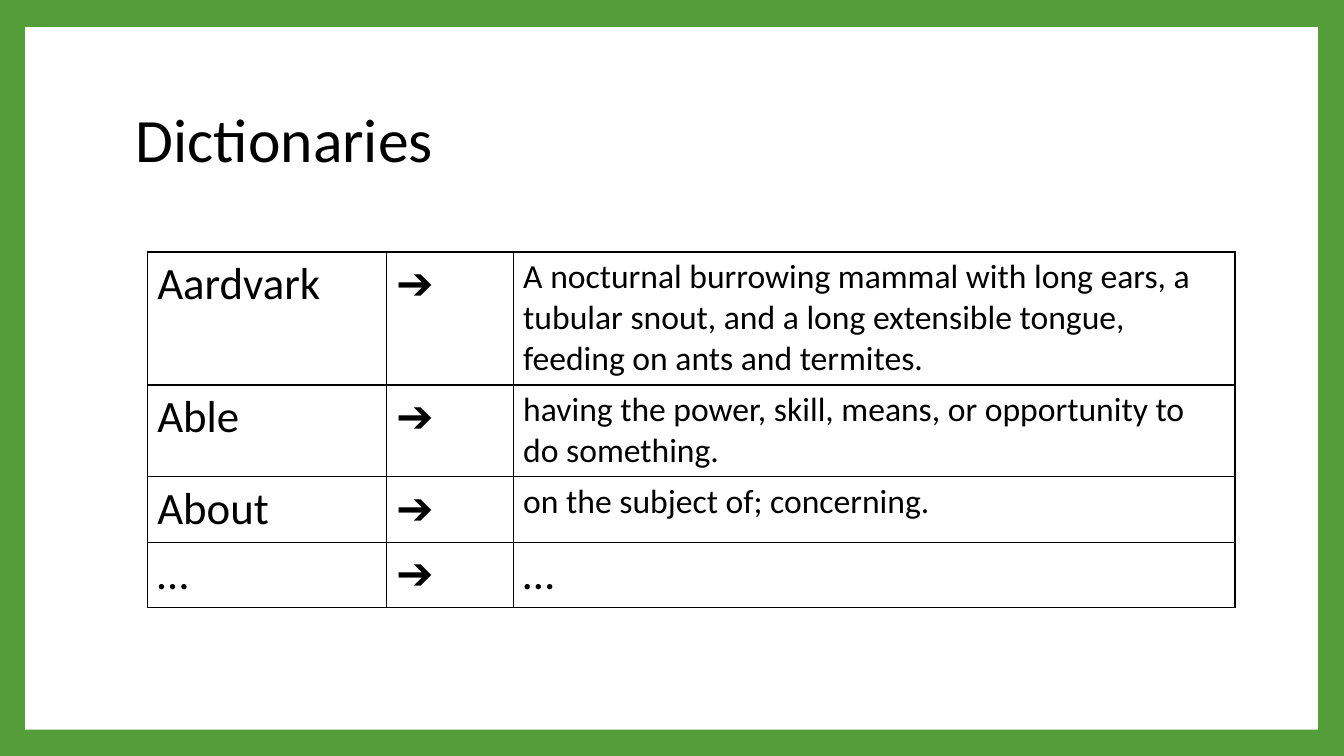
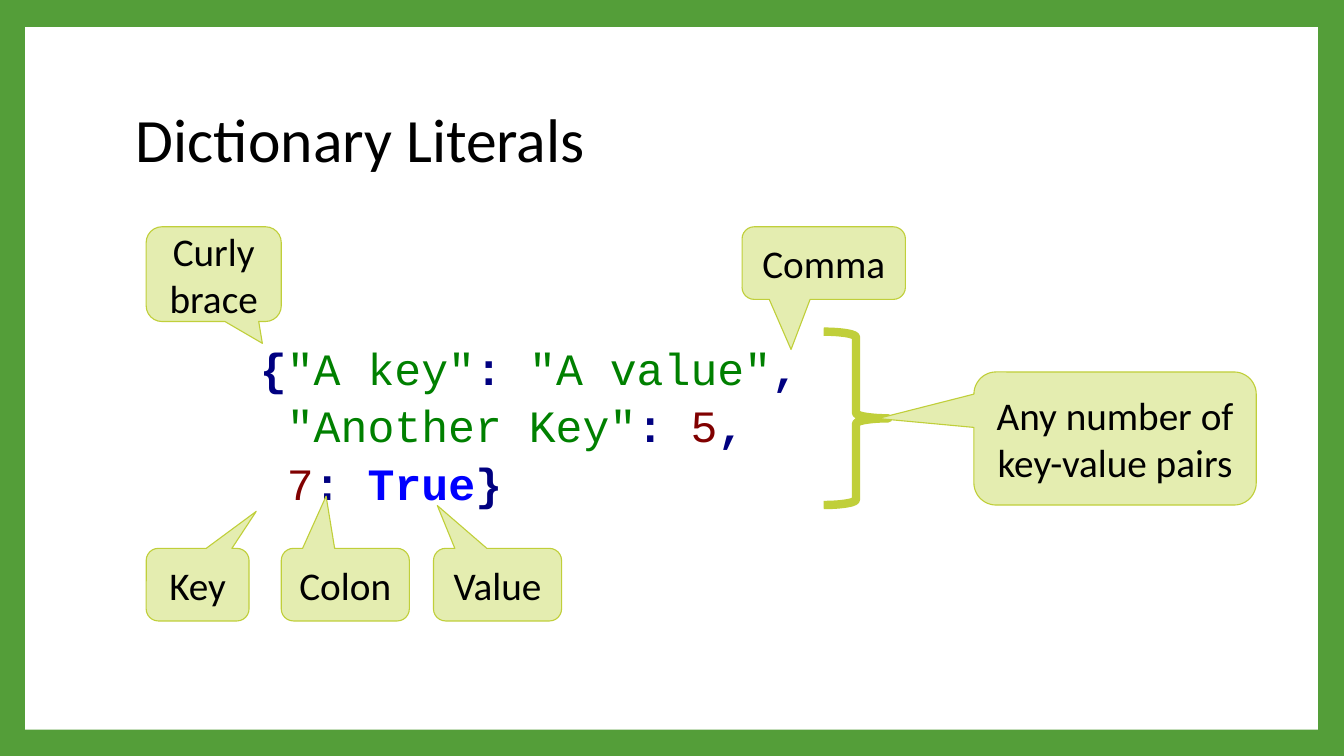
"""Build two slides that introduce dictionaries and their literals."""
from pptx import Presentation
from pptx.dml.color import RGBColor
from pptx.enum.shapes import MSO_SHAPE
from pptx.enum.text import MSO_ANCHOR, PP_ALIGN
from pptx.oxml import parse_xml
from pptx.oxml.ns import nsdecls
from pptx.util import Inches, Pt

RECTANGLE = MSO_SHAPE.RECTANGLE
CALLOUT = MSO_SHAPE.ROUNDED_RECTANGULAR_CALLOUT
BRACE = MSO_SHAPE.RIGHT_BRACE
MIDDLE = MSO_ANCHOR.MIDDLE
CENTER = PP_ALIGN.CENTER

COLORS = {
    "frame": "549E39",
    "paper": "FFFFFF",
    "text": "000000",
    "callout": "E4EDB0",
    "outline": "C0CF3A",
    "symbol": "000080",
    "string": "008000",
    "number": "800000",
    "keyword": "0000FF",
}
BODY_FONT = "Calibri"
CODE_FONT = "Courier New"


def color(name):
    return RGBColor.from_string(COLORS[name])


def add_span(para, text, size, tone="text", font=BODY_FONT, bold=False):
    span = para.add_run()
    span.text = text
    span.font.name = font
    span.font.size = Pt(size)
    span.font.bold = bold
    span.font.color.rgb = color(tone)


deck = Presentation()
deck.slide_width = Inches(13.33)
deck.slide_height = Inches(7.5)
background = deck.slide_master.background.fill
background.solid()
background.fore_color.rgb = color("frame")

pages = []
for title in ["Dictionaries", "Dictionary Literals"]:
    page = deck.slides.add_slide(deck.slide_layouts[6])
    paper = page.shapes.add_shape(
        RECTANGLE, Inches(0.25), Inches(0.27), Inches(12.82), Inches(6.97))
    paper.shadow.inherit = False
    paper.fill.solid()
    paper.fill.fore_color.rgb = color("paper")
    paper.line.fill.background()
    box = page.shapes.add_textbox(
        Inches(1.25), Inches(0.67), Inches(10.8), Inches(1.48))
    box.text_frame.word_wrap = True
    box.text_frame.vertical_anchor = MIDDLE
    para = box.text_frame.paragraphs[0]
    para.line_spacing = 0.9
    add_span(para, title, 44)
    pages.append(page)
table_page, literal_page = pages

entries = [
    ("Aardvark", "A nocturnal burrowing mammal with long ears, a tubular snout, "
                 "and a long extensible tongue, feeding on ants and termites.", 24),
    ("Able", "having the power, skill, means, or opportunity to do something.", 24),
    ("About", "on the subject of; concerning.", 24),
    ("…", "…", 32),
]
row_heights = [1.32, 0.91, 0.65, 0.65]
column_widths = [2.37, 1.26, 7.16]
table = table_page.shapes.add_table(
    len(entries), len(column_widths), Inches(1.46), Inches(2.5),
    Inches(sum(column_widths)), Inches(sum(row_heights))).table
table.first_row = False
table.horz_banding = False
for column, width in zip(table.columns, column_widths):
    column.width = Inches(width)
for row, height, (word, meaning, meaning_size) in zip(table.rows, row_heights, entries):
    row.height = Inches(height)
    contents = [(word, 32), ("➔", 32), (meaning, meaning_size)]
    for cell, (text, size) in zip(row.cells, contents):
        add_span(cell.text_frame.paragraphs[0], text, size)
        properties = cell._tc.get_or_add_tcPr()
        for side in ["lnL", "lnR", "lnT", "lnB"]:
            properties.append(parse_xml(
                f'<a:{side} {nsdecls("a")} w="12700"><a:solidFill>'
                f'<a:srgbClr val="{COLORS["text"]}"/></a:solidFill></a:{side}>'))
        cell.fill.background()

code_lines = [
    [("{", "symbol"), ('"A key"', "string"), (": ", "symbol"),
     ('"A value"', "string"), (",", "symbol")],
    [(" ", "text"), ('"Another Key"', "string"), (": ", "symbol"),
     ("5", "number"), (",", "symbol")],
    [(" ", "text"), ("7", "number"), (": ", "symbol"),
     ("True", "keyword"), ("}", "symbol")],
]
code_box = literal_page.shapes.add_textbox(
    Inches(2.48), Inches(3.29), Inches(9.76), Inches(1.72))
code_frame = code_box.text_frame
code_frame.word_wrap = True
for index, code_line in enumerate(code_lines):
    para = code_frame.add_paragraph() if index else code_frame.paragraphs[0]
    para.line_spacing = 1.07
    for text, tone in code_line:
        add_span(para, text, 32, tone, CODE_FONT, tone in ("symbol", "keyword"))

brace = literal_page.shapes.add_shape(
    BRACE, Inches(8.17), Inches(3.29), Inches(0.64), Inches(1.72))
brace.shadow.inherit = False
brace.fill.background()
brace.line.color.rgb = color("outline")
brace.line.width = Pt(6)

callouts = [
    ("Curly brace", 1.45, 2.25, 1.34, 0.94, 0.36, 0.73),
    ("Key", 1.45, 5.44, 1.02, 0.72, 0.57, -1.01),
    ("Value", 4.3, 5.44, 1.27, 0.72, -0.47, -1.09),
    ("Colon", 2.79, 5.44, 1.27, 0.72, -0.15, -1.22),
    ("Comma", 7.36, 2.25, 1.62, 0.72, -0.2, 1.19),
    ("Any number of key-value pairs", 9.66, 3.69, 2.8, 1.32, -0.84, -0.15),
]
for label, left, top, width, height, tip_x, tip_y in callouts:
    callout = literal_page.shapes.add_shape(
        CALLOUT, Inches(left), Inches(top), Inches(width), Inches(height))
    callout.shadow.inherit = False
    callout.adjustments[0] = tip_x
    callout.adjustments[1] = tip_y
    callout.fill.solid()
    callout.fill.fore_color.rgb = color("callout")
    callout.line.color.rgb = color("outline")
    callout.line.width = Pt(0.79)
    callout.text_frame.word_wrap = True
    callout.text_frame.vertical_anchor = MIDDLE
    para = callout.text_frame.paragraphs[0]
    para.alignment = CENTER
    add_span(para, label, 28)

deck.save("out.pptx")
